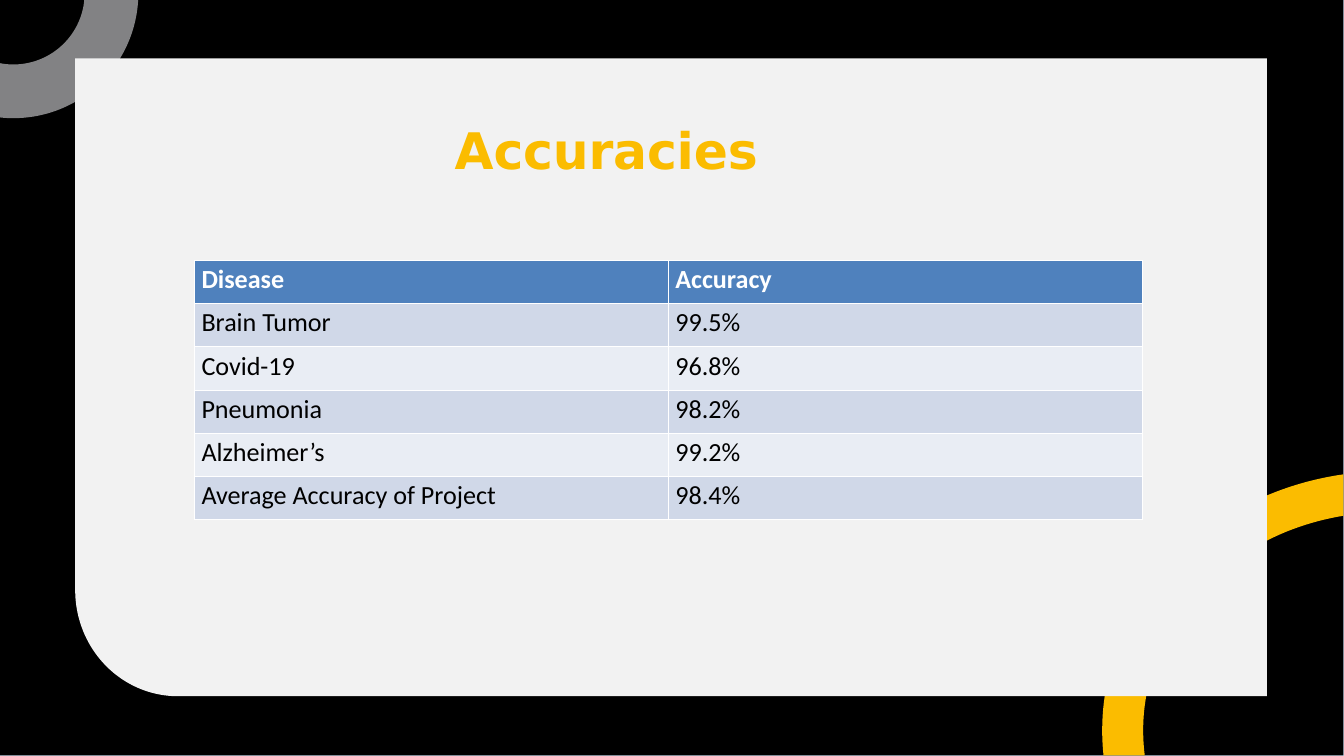
from math import cos, radians, sin

from pptx import Presentation
from pptx.dml.color import RGBColor as RGB
from pptx.enum.shapes import MSO_SHAPE as SHAPE
from pptx.util import Inches, Pt

BLACK = RGB(0x00, 0x00, 0x00)
WHITE = RGB(0xFF, 0xFF, 0xFF)
GOLD = RGB(0xFB, 0xBC, 0x00)
GRAY = RGB(0x82, 0x82, 0x84)
PAPER = RGB(0xF2, 0xF2, 0xF2)
EDGE = RGB(0xCA, 0xD9, 0xEB)
HEAD = RGB(0x4F, 0x81, 0xBD)
BANDS = (RGB(0xE9, 0xED, 0xF4), RGB(0xD0, 0xD8, 0xE8))

ROWS = [
    ("Disease", "Accuracy"),
    ("Brain Tumor", "99.5%"),
    ("Covid-19", "96.8%"),
    ("Pneumonia", "98.2%"),
    ("Alzheimer’s", "99.2%"),
    ("Average Accuracy of Project", "98.4%"),
]


def arc(mid, radii, start, end, steps=60):
    """Points on an ellipse; angles in degrees, clockwise from the right."""
    turns = [radians(start + (end - start) * i / steps) for i in range(steps + 1)]
    return [(mid[0] + radii[0] * cos(t), mid[1] + radii[1] * sin(t)) for t in turns]


def paint(shape, color):
    shape.fill.solid()
    shape.fill.fore_color.rgb = color
    shape.line.fill.background()
    shape.shadow.inherit = False


def add_form(slide, points, color):
    """Filled outline through points given in inches."""
    spots = [(Inches(x), Inches(y)) for x, y in points]
    form = slide.shapes.build_freeform(*spots[0])
    form.add_line_segments(spots[1:], close=True)
    paint(form.convert_to_shape(), color)


def add_ring(slide, mid, outer, inner, color):
    """Part of a ring; outer and inner are (radii, start, end)."""
    add_form(slide, arc(mid, *outer) + arc(mid, *inner)[::-1], color)


def add_run(para, text, font, size, color, bold):
    run = para.add_run()
    run.text = text
    run.font.name = font
    run.font.size = Pt(size)
    run.font.bold = bold
    run.font.color.rgb = color
    return run


def add_title(slide, text):
    box = slide.shapes.add_textbox(Inches(6.77), Inches(2.13), Inches(6.28), Inches(0.56))
    frame = box.text_frame
    frame.word_wrap = True
    frame.margin_left = frame.margin_right = frame.margin_bottom = 0
    frame.margin_top = Inches(0.03)
    para = frame.paragraphs[0]
    para.line_spacing = Pt(37.5)
    para.space_before = Pt(2.3)
    run = add_run(para, text, "DejaVu Sans", 54, GOLD, True)
    run.font._element.set("spc", "-20")


def add_grid(slide, rows):
    frame = slide.shapes.add_table(len(rows), len(rows[0]), Inches(2.9), Inches(3.88),
                                   Inches(14.11), Inches(3.86))
    for r, row in enumerate(rows):
        for c, text in enumerate(row):
            cell = frame.table.cell(r, c)
            cell.fill.solid()
            cell.fill.fore_color.rgb = BANDS[r % 2] if r else HEAD
            add_run(cell.text_frame.paragraphs[0], text, "Calibri", 28,
                    BLACK if r else WHITE, r == 0)


def main():
    deck = Presentation()
    deck.slide_width, deck.slide_height = Inches(20.01), Inches(11.26)
    slide = deck.slides.add_slide(deck.slide_layouts[6])
    slide.background.fill.solid()
    slide.background.fill.fore_color.rgb = EDGE

    back = slide.shapes.add_shape(SHAPE.RECTANGLE, 0, 0, Inches(20), Inches(11.25))
    paint(back, BLACK)
    add_ring(slide, (20.65, 10.88), ((4.24, 3.86), 174.5, 261.18),
             ((3.63, 3.25), 173.47, 259.68), GOLD)
    add_ring(slide, (0.2, -0.1), ((1.86, 1.86), 3.08, 96.17),
             ((1.06, 1.06), 5.41, 100.88), GRAY)
    corner = arc((2.65, 8.79), (1.53, 1.58), 90, 180)
    add_form(slide, [(1.12, 0.87), (18.86, 0.87), (18.86, 10.37)] + corner, PAPER)

    add_title(slide, "Accuracies")
    add_grid(slide, ROWS)
    deck.save("out.pptx")


if __name__ == "__main__":
    main()
